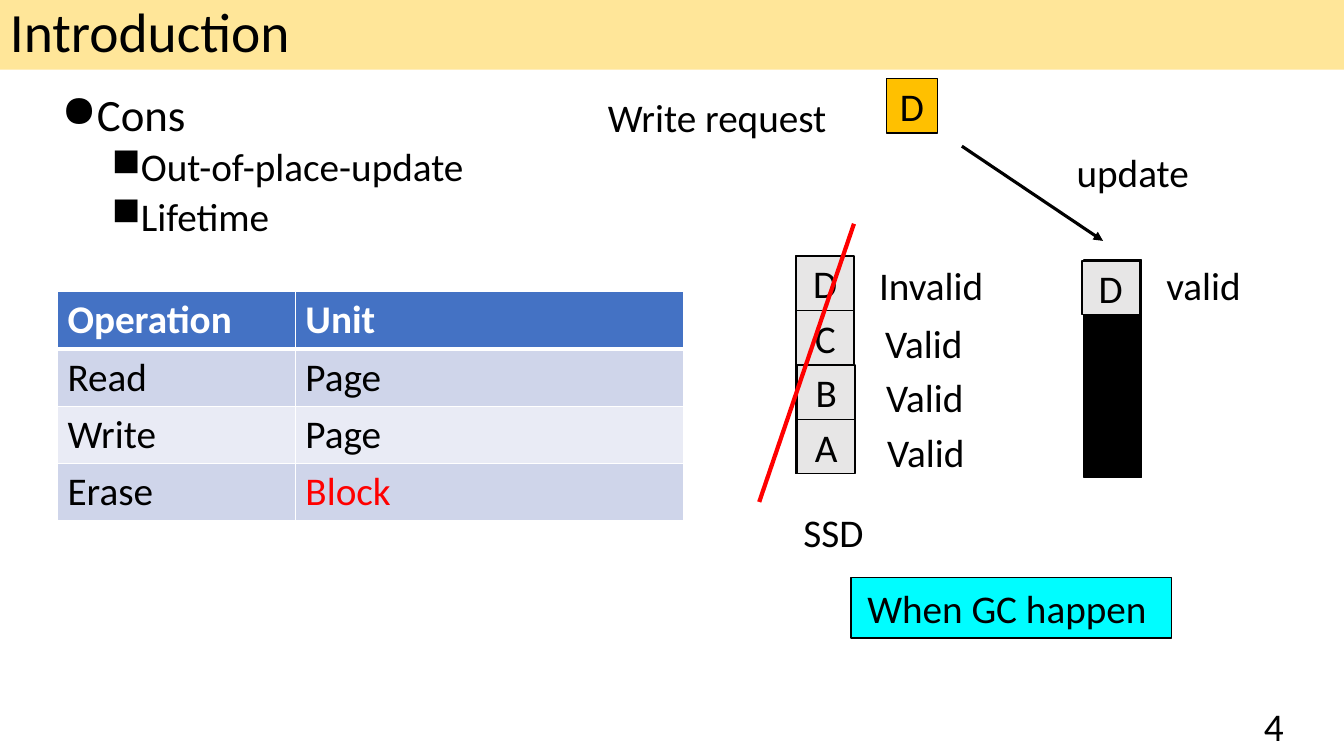
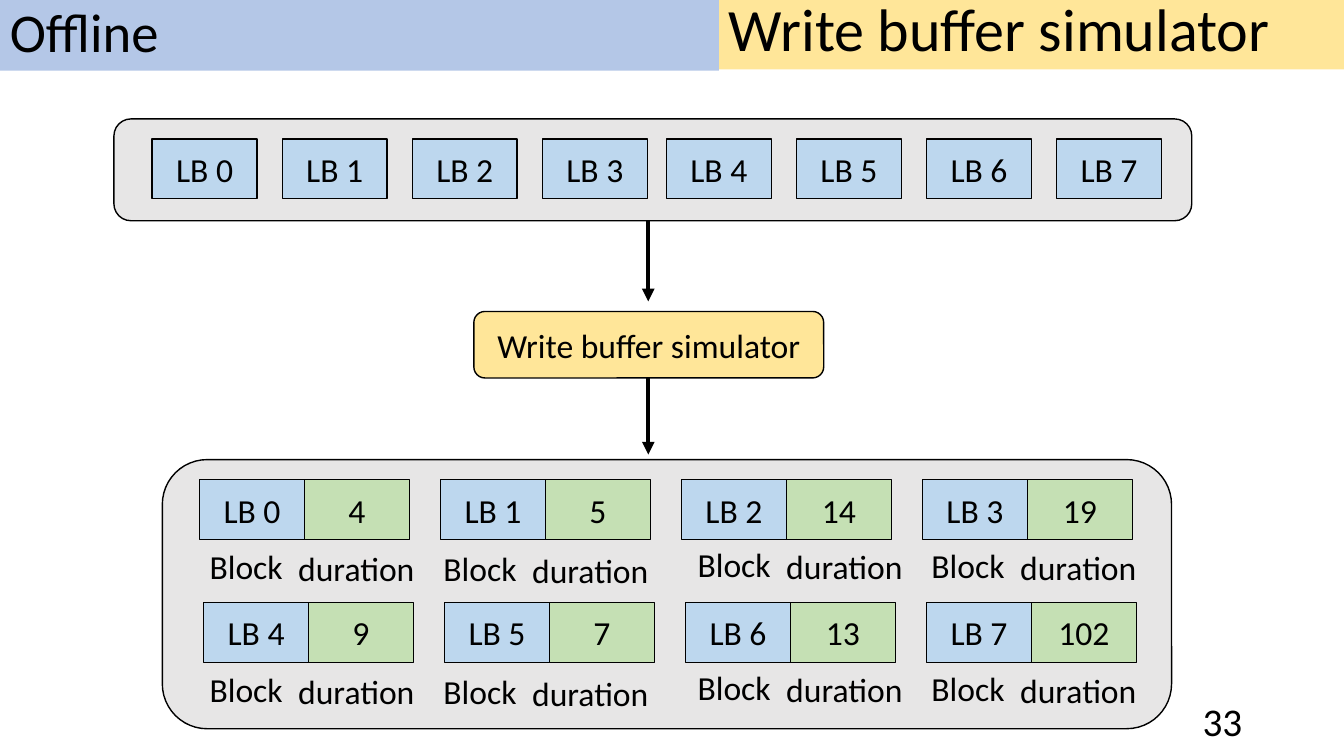
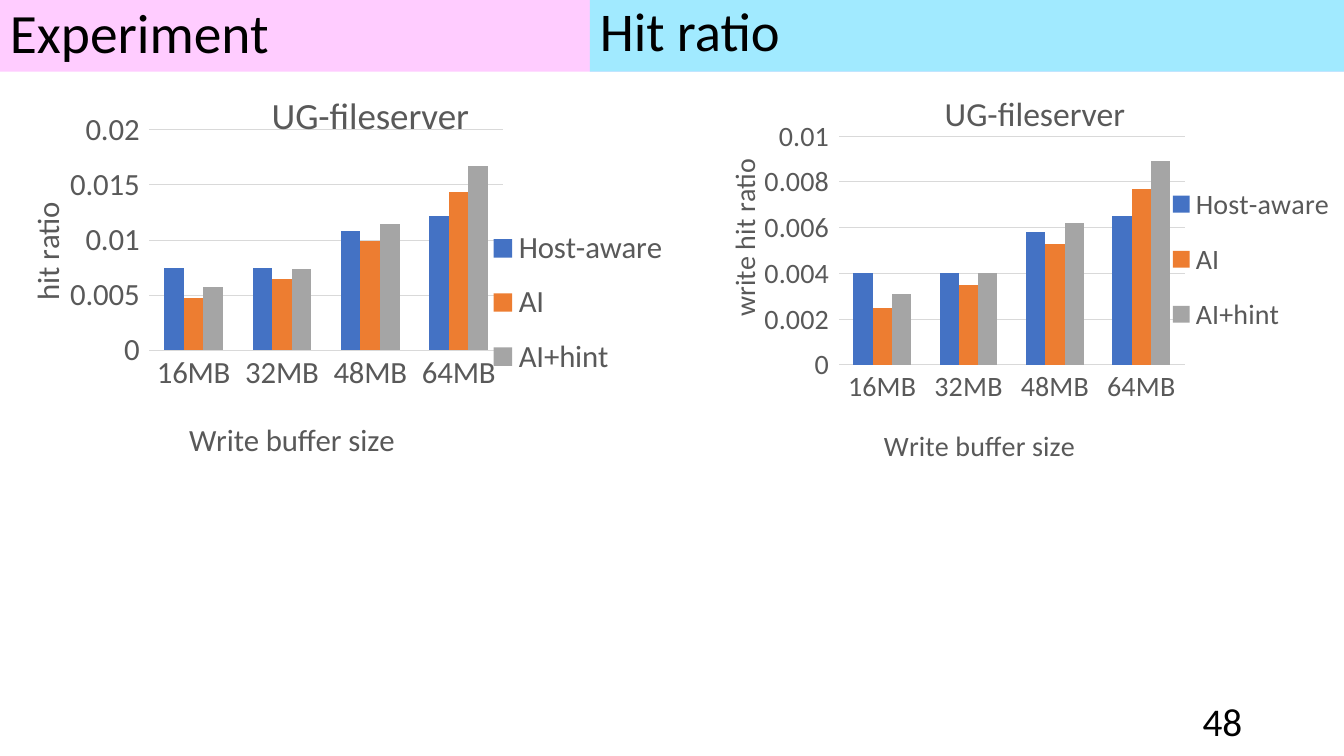
from dataclasses import dataclass
from typing import Any, NamedTuple

import pptx
import pptx.chart.data
import pptx.dml.color
import pptx.enum.chart
import pptx.enum.shapes
import pptx.enum.text
import pptx.oxml
import pptx.oxml.ns
import pptx.util
from lxml import etree

Inches = pptx.util.Inches
Pt = pptx.util.Pt
qn = pptx.oxml.ns.qn
Align = pptx.enum.text.PP_ALIGN
Anchor = pptx.enum.text.MSO_ANCHOR
Preset = pptx.enum.shapes.MSO_SHAPE


@dataclass(frozen=True)
class Theme:
    font: str = "Calibri"
    black: str = "000000"
    white: str = "FFFFFF"
    red: str = "FF0000"
    cream: str = "FFE699"
    periwinkle: str = "B4C7E7"
    pink: str = "FFCCFF"
    aqua: str = "A1EAFF"
    cyan: str = "00FDFF"
    orange: str = "FFC000"
    gray: str = "E7E6E6"
    block: str = "BDD7EE"
    duration: str = "C5E0B4"
    header: str = "4472C4"
    stripes: tuple[str, str] = ("CFD5EA", "E9EBF5")
    series: tuple[str, ...] = ("4472C4", "ED7D31", "A5A5A5")
    chart_text: str = "595959"
    chart_line: str = "D9D9D9"
    title: float = 39.6
    topic: float = 39
    wide_topic: float = 42.9
    bullet: float = 32
    body: float = 28
    diagram: float = 24


THEME = Theme()


class Area(NamedTuple):
    left: float
    top: float
    width: float
    height: float

    def lengths(self) -> list[int]:
        return [Inches(side) for side in self]


class Band(NamedTuple):
    text: str
    area: Area
    fill: str
    size: float = THEME.title
    spacing: float = 0.9


class Page(NamedTuple):
    text: str
    state: str
    state_left: float
    state_top: float
    offset: float


class BlockDuration(NamedTuple):
    value: str
    caption_left: float
    caption_shift: float


class HitChart(NamedTuple):
    area: Area
    size: float
    value_title: str
    top_value: float
    step: float
    plot: Area
    titles: tuple[tuple[float, float], ...]
    legend: Area
    values: tuple[tuple[float, ...], ...]


def rgb(color: str) -> pptx.dml.color.RGBColor:
    return pptx.dml.color.RGBColor.from_string(color)


def write(frame: Any, text: str, *, size: float = THEME.body, color: str = THEME.black,
          bold: bool = False, align: Any = Align.LEFT, anchor: Any = None,
          spacing: float | None = None, before: float | None = None,
          bullet: str = "", indent: float = 0, more: bool = False) -> None:
    paragraph = frame.add_paragraph() if more else frame.paragraphs[0]
    if bullet:
        properties = paragraph._p.get_or_add_pPr()
        properties.set("marL", str(Inches(indent)))
        properties.set("indent", str(-Inches(0.25)))
        etree.SubElement(properties, qn("a:buChar")).set("char", bullet)
    paragraph.alignment = align
    if spacing:
        paragraph.line_spacing = spacing
    if before:
        paragraph.space_before = Pt(before)
    if anchor is not None:
        frame.vertical_anchor = anchor
    run = paragraph.add_run()
    run.text = text
    run.font.name = THEME.font
    run.font.size = Pt(size)
    run.font.bold = bold
    run.font.color.rgb = rgb(color)


def label(shapes: Any, text: str, area: Area, **style: Any) -> Any:
    frame = shapes.add_textbox(*area.lengths()).text_frame
    frame.word_wrap = True
    write(frame, text, **style)
    return frame


def box(shapes: Any, area: Area, fill: str, text: str = "", *, preset: Any = Preset.RECTANGLE,
        outline: bool = True, **style: Any) -> None:
    shape = shapes.add_shape(preset, *area.lengths())
    shape.shadow.inherit = False
    shape.fill.solid()
    shape.fill.fore_color.rgb = rgb(fill)
    if outline:
        shape.line.color.rgb = rgb(THEME.black)
        shape.line.width = Pt(1)
    else:
        shape.line.fill.background()
    if text:
        shape.text_frame.word_wrap = True
        write(shape.text_frame, text, **{"align": Align.CENTER, "anchor": Anchor.MIDDLE} | style)


def stroke(shapes: Any, start: tuple[float, float], end: tuple[float, float], *,
           color: str = THEME.black, width: float = 3, arrow: bool = True) -> None:
    line = shapes.add_connector(pptx.enum.shapes.MSO_CONNECTOR.STRAIGHT,
                                *[Inches(value) for value in start + end])
    line.line.color.rgb = rgb(color)
    line.line.width = Pt(width)
    if arrow:
        etree.SubElement(line.line._get_or_add_ln(), qn("a:tailEnd")).set("type", "triangle")
    etree.SubElement(line._element.spPr, qn("a:effectLst"))


def add_slide(deck: Any, bands: list[Band], number: str, number_area: Area) -> Any:
    shapes = deck.slides.add_slide(deck.slide_layouts[6]).shapes
    for band in bands:
        box(shapes, band.area, band.fill, band.text, outline=False, size=band.size,
            spacing=band.spacing, align=Align.LEFT)
    label(shapes, number, number_area, align=Align.RIGHT, anchor=Anchor.MIDDLE)
    return shapes


def set_border(cell: Any, side: str, width: float) -> None:
    edge = etree.SubElement(cell._tc.get_or_add_tcPr(), qn(f"a:{side}"), w=str(Pt(width)))
    etree.SubElement(etree.SubElement(edge, qn("a:solidFill")), qn("a:srgbClr")).set("val", THEME.white)


def add_operations(shapes: Any) -> None:
    rows = [("Operation", "Unit"), ("Read", "Page"), ("Write", "Page"), ("Erase", "Block")]
    table = shapes.add_table(len(rows), 2, *Area(0.57, 2.89, 6.21, 2.28).lengths()).table
    for column, width in zip(table.columns, (2.36, 3.85)):
        column.width = Inches(width)
    for row_index, row in enumerate(rows):
        table.rows[row_index].height = Inches(0.57)
        heading = row_index == 0
        for column_index, text in enumerate(row):
            cell = table.cell(row_index, column_index)
            for side in ("lnL", "lnR", "lnT", "lnB"):
                thick = (row_index, side) in ((0, "lnB"), (1, "lnT"))
                set_border(cell, side, 3 if thick else 1)
            cell.fill.solid()
            cell.fill.fore_color.rgb = rgb(THEME.header if heading else THEME.stripes[(row_index - 1) % 2])
            color = THEME.white if heading else THEME.red if text == "Block" else THEME.black
            write(cell.text_frame, text, color=color, bold=heading)


def build_introduction(deck: Any) -> None:
    shapes = add_slide(deck, [Band("Introduction", Area(0, 0, 13.33, 0.69), THEME.cream)],
                       "4", Area(9.83, 7, 3, 0.4))
    cons = label(shapes, "Cons", Area(0.51, 0.87, 12.83, 6.63), size=THEME.bullet,
                 spacing=0.9, bullet="●", indent=0.25)
    for drawback in ("Out-of-place-update", "Lifetime"):
        write(cons, drawback, spacing=0.9, before=5, bullet="■", indent=0.75, more=True)
    add_operations(shapes)

    for left, top in ((7.89, 2.54), (10.75, 2.58)):
        box(shapes, Area(left, top, 0.57, 2.16), THEME.black)
    pages = [Page("D", "Invalid", 8.62, 2.54, 0), Page("C", "Valid", 8.68, 3.12, 0),
             Page("B", "Valid", 8.69, 3.65, 0.01), Page("A", "Valid", 8.7, 4.2, 0.01)]
    for index, page in enumerate(pages):
        box(shapes, Area(7.9 + page.offset, 2.54 + 0.54 * index, 0.57, 0.54), THEME.gray, page.text)
        label(shapes, page.state, Area(page.state_left, page.state_top, 1.4, 0.57))
    box(shapes, Area(8.79, 0.78, 0.51, 0.54), THEME.orange, "D")
    box(shapes, Area(10.73, 2.59, 0.57, 0.53), THEME.gray, "D")
    for text, left, top, width in (("Write request", 5.93, 0.88, 2.54), ("SSD", 7.87, 4.99, 1.01),
                                   ("update", 10.58, 1.42, 1.4), ("valid", 11.47, 2.54, 1.4)):
        label(shapes, text, Area(left, top, width, 0.57))
    stroke(shapes, (9.54, 1.45), (10.94, 2.39), width=2.25)
    box(shapes, Area(8.44, 5.73, 3.18, 0.6), THEME.cyan, "When GC happen ")
    stroke(shapes, (8.47, 2.22), (7.53, 4.98), color=THEME.red, arrow=False)


def build_simulator(deck: Any) -> None:
    bands = [Band("Write buffer simulator", Area(7.13, -0.02, 6.2, 0.71), THEME.cream,
                  THEME.wide_topic, 0.8),
             Band("Offline", Area(0, -0.01, 7.13, 0.71), THEME.periwinkle, THEME.topic)]
    shapes = add_slide(deck, bands, "33", Area(9.42, 6.95, 3, 0.4))
    rounded = Preset.ROUNDED_RECTANGLE
    size = THEME.diagram
    box(shapes, Area(1.13, 1.18, 10.69, 1.01), THEME.gray, preset=rounded)
    for half, start in enumerate((1.51, 6.61)):
        for index in range(4):
            box(shapes, Area(start + 1.29 * index, 1.38, 1.04, 0.59), THEME.block,
                f"LB {4 * half + index}", size=size)
    stroke(shapes, (6.43, 2.19), (6.43, 2.99))
    box(shapes, Area(4.7, 3.09, 3.47, 0.66), THEME.cream, "Write buffer simulator",
        preset=rounded, size=size)
    stroke(shapes, (6.43, 3.75), (6.43, 4.51))
    box(shapes, Area(1.61, 4.56, 10.01, 2.67), THEME.gray, preset=rounded)

    captions = ((1.98, 0.02), (4.3, 0.04), (6.82, 0), (9.14, 0.01))
    values = ("4", "5", "14", "19", "9", "7", "13", "102")
    results = [BlockDuration(value, *captions[index % 4]) for index, value in enumerate(values)]
    for index, result in enumerate(results):
        row, column = divmod(index, 4)
        left = 1.98 + 2.39 * column + 0.04 * row
        drop = 1.22 * row
        pair = shapes.add_group_shape().shapes
        box(pair, Area(left, 4.76 + drop, 1.04, 0.59), THEME.block, f"LB {index}", size=size)
        box(pair, Area(left + 1.04, 4.76 + drop, 1.04, 0.59), THEME.duration, result.value, size=size)
        caption_top = 5.35 + result.caption_shift + drop
        label(shapes, "Block", Area(result.caption_left, caption_top, 0.95, 0.5), size=size)
        label(shapes, "duration", Area(result.caption_left + 0.88, caption_top + 0.02, 1.43, 0.5), size=size)


def place(part: Any, position: int, **bounds: float) -> None:
    for old in part.findall(qn("c:layout")):
        part.remove(old)
    layout = etree.Element(qn("c:layout"))
    manual = etree.SubElement(layout, qn("c:manualLayout"))
    if position == 0:
        etree.SubElement(manual, qn("c:layoutTarget")).set("val", "inner")
    for side in ("x", "y"):
        etree.SubElement(manual, qn(f"c:{side}Mode")).set("val", "edge")
    for side, value in bounds.items():
        etree.SubElement(manual, qn(f"c:{side}")).set("val", str(value))
    part.insert(position, layout)


def add_hit_chart(shapes: Any, hits: HitChart) -> None:
    data = pptx.chart.data.CategoryChartData(number_format="General")
    data.categories = ["16MB", "32MB", "48MB", "64MB"]
    for name, values in zip(("Host-aware", "AI", "AI+hint"), hits.values):
        data.add_series(name, values)
    chart = shapes.add_chart(pptx.enum.chart.XL_CHART_TYPE.COLUMN_CLUSTERED,
                             *hits.area.lengths(), data).chart
    chart.font.name = THEME.font
    chart.font.size = Pt(hits.size)
    chart.font.color.rgb = rgb(THEME.chart_text)
    plot = chart.plots[0]
    plot.gap_width = 150
    plot.overlap = 0
    plot.vary_by_categories = False
    for series, color in zip(plot.series, THEME.series):
        series.format.fill.solid()
        series.format.fill.fore_color.rgb = rgb(color)

    sizes, ratios = chart.category_axis, chart.value_axis
    sizes.major_tick_mark = pptx.enum.chart.XL_TICK_MARK.NONE
    ratios.major_tick_mark = pptx.enum.chart.XL_TICK_MARK.OUTSIDE
    ratios.minimum_scale, ratios.maximum_scale = 0, hits.top_value
    ratios.major_unit = hits.step
    ratios.format.line.fill.background()
    for line in (sizes.format.line, ratios.major_gridlines.format.line):
        line.color.rgb = rgb(THEME.chart_line)
        line.width = Pt(0.75)

    chart.has_title = True
    chart.has_legend = True
    chart.legend.position = pptx.enum.chart.XL_LEGEND_POSITION.RIGHT
    chart.legend.include_in_layout = False
    for title, text, size in ((chart.chart_title, "UG-fileserver", 1.2 * hits.size),
                              (sizes.axis_title, "Write buffer size", hits.size),
                              (ratios.axis_title, hits.value_title, hits.size)):
        write(title.text_frame, text, size=size, color=THEME.chart_text, align=Align.CENTER)
    root = chart.element
    for title, (x, y) in zip(root.xpath(".//c:title"), hits.titles):
        place(title, 1, x=x, y=y)
    turned = root.xpath(".//c:valAx/c:title//a:bodyPr")[0]
    turned.set("rot", "-5400000")
    turned.set("vert", "horz")
    for tag, position, area in (("c:legend", 1, hits.legend), ("c:plotArea", 0, hits.plot)):
        place(root.xpath(f".//{tag}")[0], position, x=area.left, y=area.top, w=area.width, h=area.height)


def build_experiment(deck: Any) -> None:
    bands = [Band("Experiment", Area(0, 0, 13.33, 0.71), THEME.pink),
             Band("Hit ratio", Area(5.85, -0.03, 7.48, 0.74), THEME.aqua, THEME.topic)]
    shapes = add_slide(deck, bands, "48", Area(9.42, 6.95, 3, 0.4))
    charts = [
        HitChart(Area(0, 0.71, 6.74, 4.13), 22, "hit ratio", 0.02, 0.005,
                 Area(0.22, 0.14, 0.52, 0.53), ((0.39, 0.03), (0.27, 0.82), (0.03, 0.3)),
                 Area(0.73, 0.34, 0.26, 0.43),
                 ((0.0075, 0.0075, 0.0108, 0.0122), (0.0047, 0.0065, 0.0099, 0.0144),
                  (0.0057, 0.0074, 0.0115, 0.0167))),
        HitChart(Area(6.74, 0.71, 6.59, 4.28), 20, "write hit ratio", 0.01, 0.002,
                 Area(0.24, 0.15, 0.52, 0.53), ((0.39, 0.03), (0.3, 0.81), (0.06, 0.19)),
                 Area(0.74, 0.22, 0.25, 0.43),
                 ((0.004, 0.004, 0.0058, 0.0065), (0.0025, 0.0035, 0.0053, 0.0077),
                  (0.0031, 0.004, 0.0062, 0.0089))),
    ]
    for hits in charts:
        add_hit_chart(shapes, hits)


def main() -> None:
    deck = pptx.Presentation()
    deck.slide_width, deck.slide_height = Inches(13.33), Inches(7.5)
    for build in (build_introduction, build_simulator, build_experiment):
        build(deck)
    deck.save("out.pptx")


if __name__ == "__main__":
    main()
